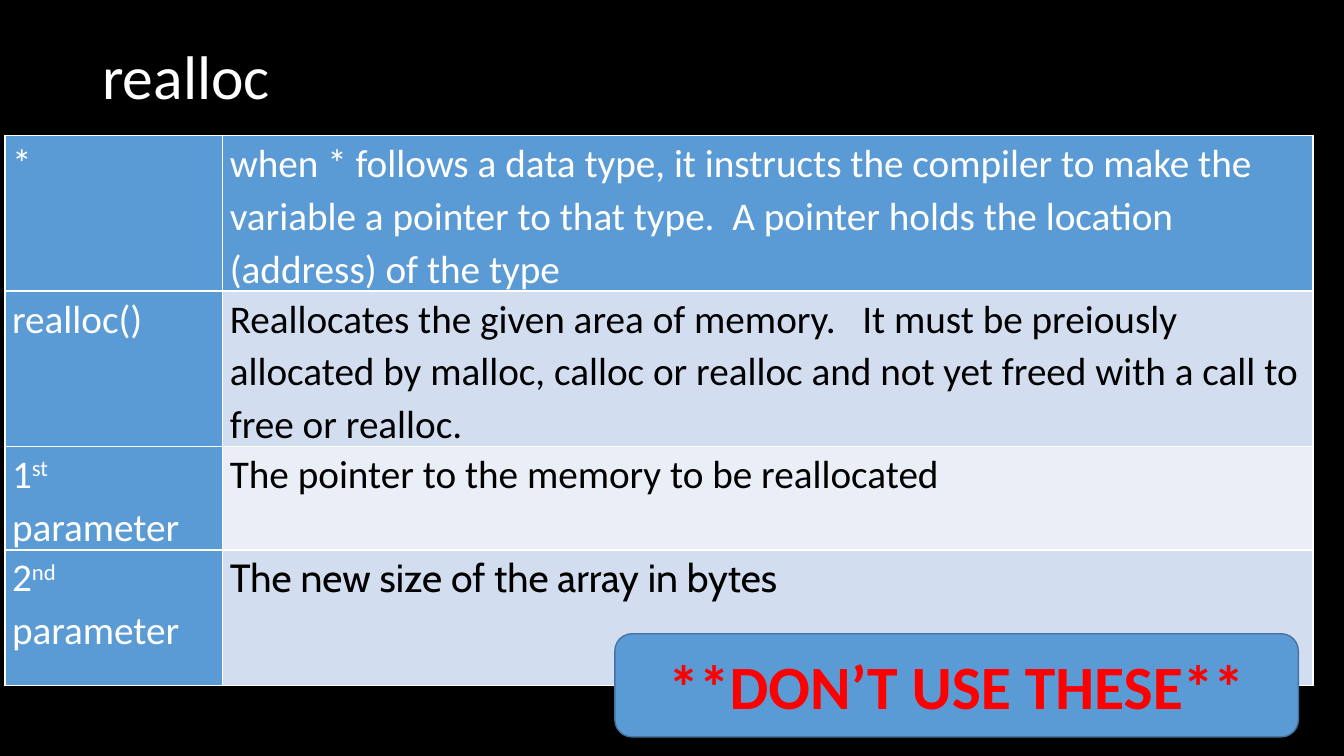
import pptx
import pptx.util
import pptx.dml.color
import pptx.enum.shapes
import pptx.enum.text
import pptx.oxml
import pptx.oxml.ns

Pt = pptx.util.Pt
TITLE = "realloc"
WARNING = "**DON’T USE THESE**"
ROWS = [
    (["*"], "when * follows a data type, it instructs the compiler to make the variable "
            "a pointer to that type.  A pointer holds the location (address) of the type"),
    (["realloc()"], "Reallocates the given area of memory.   It must be preiously allocated by "
                    "malloc, calloc or realloc and not yet freed with a call to free or realloc."),
    (["1", "st", " parameter"], "The pointer to the memory to be reallocated"),
    (["2", "nd", " parameter"], "The new size of the array in bytes"),
]
THEME = {
    "black": "000000", "white": "FFFFFF", "blue": "5B9BD5", "outline": "43739E",
    "red": "FF0000", "bands": ["5B9BD5", "D2DEEF", "EAEFF7", "D2DEEF"],
    "font": "Calibri", "last_font": "Cabin", "large": 44, "body": 28,
}
COLUMN_WIDTHS = [155.6, 778.7]
ROW_HEIGHTS = [101.5, 101.5, 67, 97]
TITLE_PLACE = (66, 28.8, 828, 56.2)
TABLE_PLACE = (3.6, 97, sum(COLUMN_WIDTHS), sum(ROW_HEIGHTS))
WARNING_PLACE = (439.2, 452.7, 488.2, 73.7)


def color(name):
    return pptx.dml.color.RGBColor.from_string(THEME.get(name, name))


def apply(target, values):
    for name, value in values.items():
        setattr(target, name, value)


def paint(fill, name):
    fill.solid()
    fill.fore_color.rgb = color(name)


def write(frame, parts, ink, size, font="font", bold=False, **layout):
    para = frame.paragraphs[0]
    apply(para, layout)
    for index, part in enumerate(parts):
        span = para.add_run()
        span.text = part
        apply(span.font, {"name": THEME[font], "size": Pt(THEME[size]), "bold": bold})
        span.font.color.rgb = color(ink)
        if index == 1:
            span.font._element.set("baseline", "30000")


def add_borders(cell):
    properties = cell._tc.get_or_add_tcPr()
    for position, side in enumerate(("lnL", "lnR", "lnT", "lnB")):
        properties.insert(position, pptx.oxml.parse_xml(
            f'<a:{side} {pptx.oxml.ns.nsdecls("a")} w="{Pt(1)}"><a:solidFill>'
            f'<a:srgbClr val="{THEME["white"]}"/></a:solidFill></a:{side}>'))


def add_title(page):
    box = page.shapes.add_textbox(*map(Pt, TITLE_PLACE))
    apply(box.text_frame, {"word_wrap": True,
                           "vertical_anchor": pptx.enum.text.MSO_ANCHOR.MIDDLE})
    write(box.text_frame, [TITLE], "white", "large", line_spacing=0.9)


def add_definitions(page):
    table = page.shapes.add_table(len(ROWS), 2, *map(Pt, TABLE_PLACE)).table
    apply(table, {"first_row": False, "horz_banding": False})
    for column, width in zip(table.columns, COLUMN_WIDTHS):
        column.width = Pt(width)
    for index, (term, meaning) in enumerate(ROWS):
        table.rows[index].height = Pt(ROW_HEIGHTS[index])
        last = index == len(ROWS) - 1
        for side, parts in enumerate((term, [meaning])):
            cell = table.cell(index, side)
            apply(cell, {"margin_left": Pt(5), "margin_right": Pt(5),
                         "margin_top": 0, "margin_bottom": 0})
            paint(cell.fill, THEME["bands"][index] if side else "blue")
            add_borders(cell)
            write(cell.text_frame, parts, "black" if side and index else "white", "body",
                  "last_font" if side and last else "font",
                  line_spacing=1.1, space_before=Pt(6))


def add_warning(page):
    shape = page.shapes.add_shape(pptx.enum.shapes.MSO_SHAPE.ROUNDED_RECTANGLE,
                                  *map(Pt, WARNING_PLACE))
    shape.shadow.inherit = False
    paint(shape.fill, "blue")
    shape.line.color.rgb = color("outline")
    shape.line.width = Pt(1)
    shape.text_frame.vertical_anchor = pptx.enum.text.MSO_ANCHOR.MIDDLE
    write(shape.text_frame, [WARNING], "red", "large", bold=True,
          alignment=pptx.enum.text.PP_ALIGN.CENTER)


def main():
    deck = pptx.Presentation()
    apply(deck, {"slide_width": Pt(960), "slide_height": Pt(540)})
    page = deck.slides.add_slide(deck.slide_layouts[6])
    paint(page.background.fill, "black")
    add_title(page)
    add_definitions(page)
    add_warning(page)
    deck.save("out.pptx")


if __name__ == "__main__":
    main()
